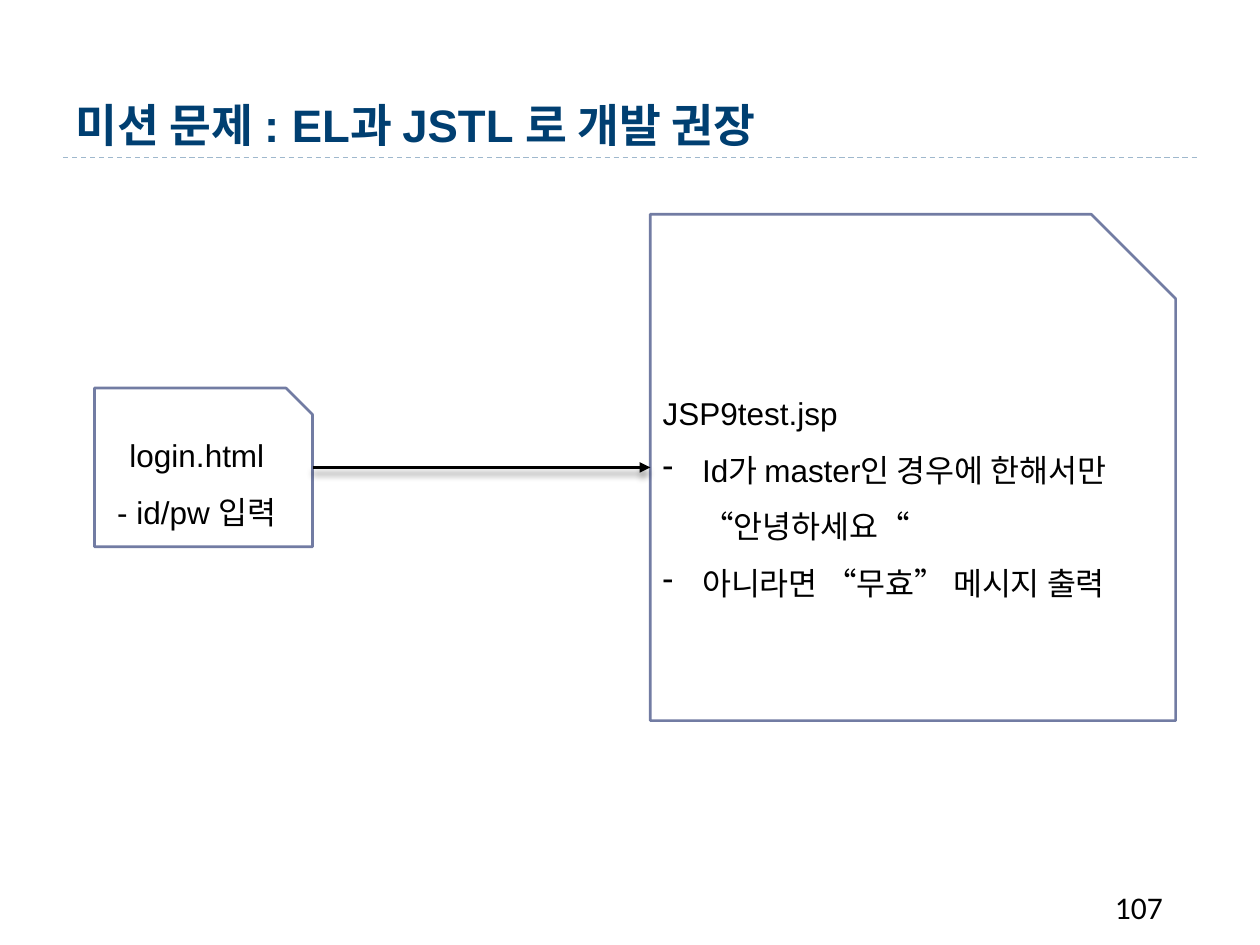
from lxml import etree
from pptx import Presentation
from pptx.dml.color import RGBColor
from pptx.enum.dml import MSO_LINE
from pptx.enum.shapes import MSO_CONNECTOR, MSO_SHAPE
from pptx.enum.text import MSO_ANCHOR as Anchor, PP_ALIGN as Align
from pptx.oxml import parse_xml
from pptx.oxml.ns import nsdecls, qn
from pptx.util import Pt

BLACK, WHITE, NAVY = "000000", "FFFFFF", "003F71"
OUTLINE, RULE = "727CA3", "9FB8CD"
INDENT = 22.5


def rgb(value):
    return RGBColor.from_string(value)


def set_font(paragraph, size, color=BLACK, name="Arial", bold=False):
    font = paragraph.font
    font.name, font.size, font.bold = name, Pt(size), bold
    font.color.rgb = rgb(color)


def add_line(slide, start, end, color, width):
    line = slide.shapes.add_connector(
        MSO_CONNECTOR.STRAIGHT, *(Pt(v) for v in (*start, *end)))
    line.line.color.rgb = rgb(color)
    line.line.width = Pt(width)
    effects = etree.SubElement(line._element.spPr, qn("a:effectLst"))
    return line, effects


def add_heading(slide, left, top, width, height, text):
    # Dashed rule along the bottom edge of the title
    bottom = top + height
    rule, _ = add_line(slide, (left, bottom), (left + width, bottom), RULE, 0.75)
    rule.line.dash_style = MSO_LINE.DASH

    title = slide.shapes.title
    title.left, title.top = Pt(left), Pt(top)
    title.width, title.height = Pt(width), Pt(height)
    title.text_frame.text = text
    title.text_frame.vertical_anchor = Anchor.BOTTOM
    heading = title.text_frame.paragraphs[0]
    heading.alignment = Align.LEFT
    set_font(heading, 26, NAVY, bold=True)


def add_page_number(slide, left, top, width, height, number):
    box = slide.shapes.add_textbox(Pt(left), Pt(top), Pt(width), Pt(height))
    box.text_frame.word_wrap = True
    box.text_frame.text = number
    set_font(box.text_frame.paragraphs[0], 18, name="Calibri")


def add_dash_bullet(paragraph):
    properties = paragraph._p.get_or_add_pPr()
    properties.set("marL", str(Pt(INDENT)))
    properties.set("indent", str(-Pt(INDENT)))
    etree.SubElement(properties, qn("a:buChar"), char="-")


def add_page_card(slide, left, top, width, height, lines, align, bullets=()):
    card = slide.shapes.add_shape(
        MSO_SHAPE.SNIP_1_RECTANGLE, Pt(left), Pt(top), Pt(width), Pt(height))
    card.shadow.inherit = False
    card.fill.solid()
    card.fill.fore_color.rgb = rgb(WHITE)
    card.line.color.rgb = rgb(OUTLINE)
    card.line.width = Pt(1.5)

    frame = card.text_frame
    frame.word_wrap = True
    frame.vertical_anchor = Anchor.MIDDLE
    frame.text = "\n".join([*lines, *bullets])
    for index, paragraph in enumerate(frame.paragraphs):
        if index >= len(lines):
            add_dash_bullet(paragraph)
        paragraph.alignment = align
        paragraph.line_spacing = 1.5
        set_font(paragraph, 18)


def add_flow_arrow(slide, start, end):
    arrow, effects = add_line(slide, start, end, BLACK, 2)
    etree.SubElement(arrow.line._get_or_add_ln(), qn("a:tailEnd"), type="triangle")
    # Soft shadow straight below the arrow
    effects.append(parse_xml(
        f'<a:outerShdw {nsdecls("a")} blurRad="{Pt(4)}" dist="{Pt(3.4)}" '
        f'dir="5400000" rotWithShape="0"><a:srgbClr val="{BLACK}">'
        '<a:alpha val="40000"/></a:srgbClr></a:outerShdw>'))


def add_login_flow(slide, left, top, width, height):
    login_width, login_height, result_width = 124.6, 90.7, 300.2
    middle = top + height / 2
    result_left = left + width - result_width

    add_page_card(slide, left, middle - login_height / 2, login_width, login_height,
                  ["login.html", "- id/pw 입력"], Align.CENTER)
    add_page_card(slide, result_left, top, result_width, height,
                  ["JSP9test.jsp"], Align.LEFT,
                  ["Id가 master인 경우에 한해서만 “안녕하세요“",
                   "아니라면 “무효” 메시지 출력"])
    add_flow_arrow(slide, (left + login_width, middle), (result_left, middle))


def main():
    deck = Presentation()
    deck.slide_width, deck.slide_height = Pt(720), Pt(540)
    slide = deck.slides.add_slide(deck.slide_layouts[5])
    add_heading(slide, 36, 12, 648, 78, "미션 문제 : EL과 JSTL 로 개발 권장")
    add_page_number(slide, 630, 504, 60, 29, "107")
    add_login_flow(slide, 54, 122.4, 617.8, 289.4)
    deck.save("out.pptx")


if __name__ == "__main__":
    main()
